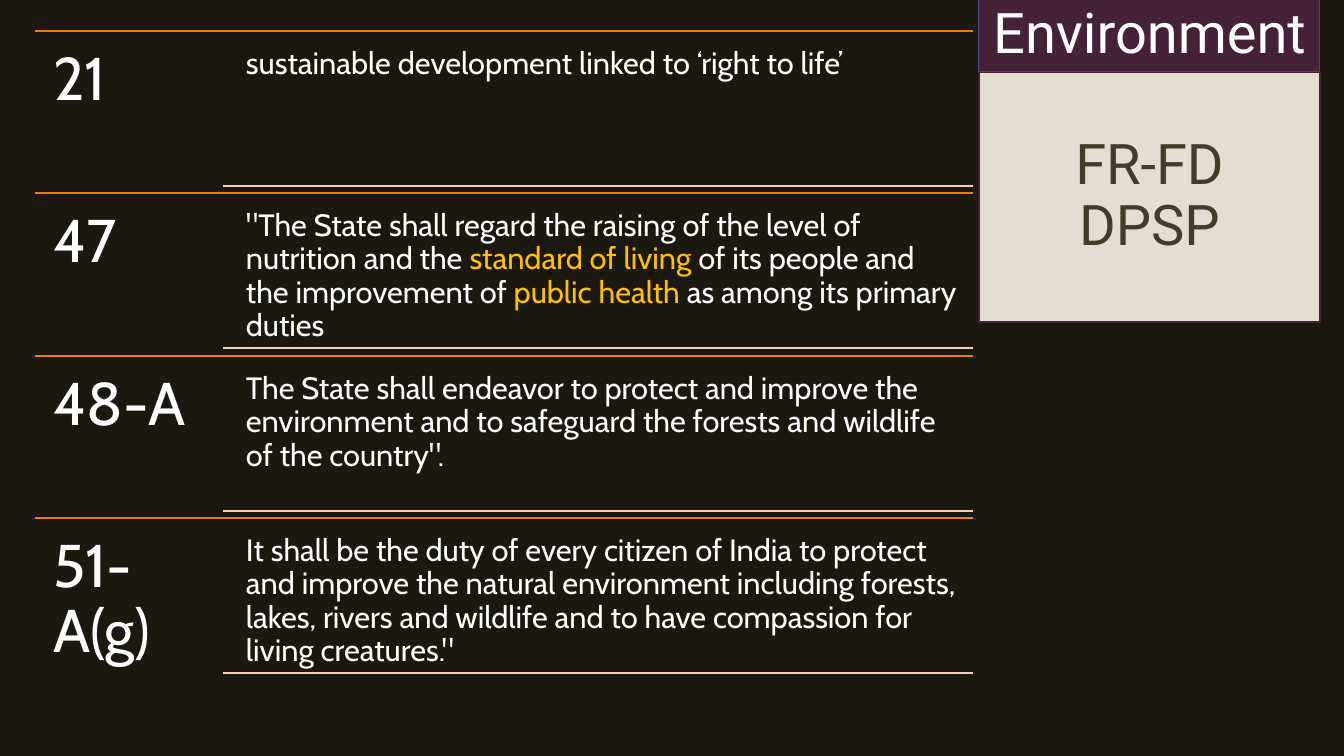
from pptx import Presentation
from pptx.dml.color import RGBColor
from pptx.enum.shapes import MSO_CONNECTOR, MSO_SHAPE
from pptx.enum.text import MSO_ANCHOR, PP_ALIGN
from pptx.oxml.ns import qn
from pptx.util import Emu, Pt
from lxml import etree

STRAIGHT = MSO_CONNECTOR.STRAIGHT
RECTANGLE = MSO_SHAPE.RECTANGLE
TOP, MIDDLE = MSO_ANCHOR.TOP, MSO_ANCHOR.MIDDLE
LEFT, CENTER = PP_ALIGN.LEFT, PP_ALIGN.CENTER

EMU_PER_PX = 914400 / 100.8
WHITE, GOLD, ORANGE, PINK = "FFFFFF", "FFC000", "F07F09", "F8CCBD"
PLUM, SAND, OLIVE, BLUE, DARK = "452238", "E3DED1", "443C29", "384A92", "1B1810"

ROWS_TOP, ROWS_BOTTOM = 31, 680
LIST_LEFT, LIST_RIGHT = 35, 973
CARD_LEFT, CARD_WIDTH = 979, 341

# Article number and its text as (words, colour) spans
ARTICLES = [
    ("21", [("sustainable development linked to ‘right to life’", WHITE)]),
    ("47", [
        ('"The State shall regard the raising of the level of nutrition and the ', WHITE),
        ("standard of living ", GOLD),
        ("of its people and the improvement of ", WHITE),
        ("public health ", GOLD),
        ("as among its primary duties", WHITE),
    ]),
    ("48-A", [(
        "The State shall endeavor to protect and improve the environment and to "
        'safeguard the forests and wildlife of the country".', WHITE)]),
    ("51-A(g)", [(
        "It shall be the duty of every citizen of India to protect and improve the "
        "natural environment including forests, lakes, rivers and wildlife and to "
        'have compassion for living creatures."', WHITE)]),
]


def px(length):
    return Emu(round(length * EMU_PER_PX))


def color(hex_code):
    return RGBColor.from_string(hex_code)


def write_text(shape, spans, size, font="Cabin", align=LEFT, anchor=TOP, inset=9):
    frame = shape.text_frame
    frame.word_wrap = True
    frame.vertical_anchor = anchor
    frame.margin_left = frame.margin_right = px(inset)
    frame.margin_top = frame.margin_bottom = px(inset)
    para = frame.paragraphs[0]
    para.alignment = align
    para.line_spacing = 0.9
    for words, hex_code in spans:
        for index, line in enumerate(words.split("\n")):
            if index:
                para.add_line_break()
            span = para.add_run()
            span.text = line
            span.font.name = font
            span.font.size = Pt(size)
            span.font.color.rgb = color(hex_code)


def add_text(page, left, top, width, height, spans, **text_format):
    box = page.shapes.add_textbox(px(left), px(top), px(width), px(height))
    write_text(box, spans, **text_format)


def add_rule(page, left, right, y, hex_code):
    rule = page.shapes.add_connector(STRAIGHT, px(left), px(y), px(right), px(y))
    rule.line.color.rgb = color(hex_code)
    rule.line.width = Pt(2)
    etree.SubElement(rule._element.spPr, qn("a:effectLst"))


def add_panel(page, top, height, fill, outline, weight, spans, **text_format):
    panel = page.shapes.add_shape(
        RECTANGLE, px(CARD_LEFT), px(top), px(CARD_WIDTH), px(height))
    panel.shadow.inherit = False
    panel.fill.solid()
    panel.fill.fore_color.rgb = color(fill)
    panel.line.color.rgb = color(outline)
    panel.line.width = Pt(weight)
    write_text(panel, spans, size=40, font="Roboto", align=CENTER, **text_format)


def add_article(page, top, number, spans):
    add_rule(page, LIST_LEFT, LIST_RIGHT, top, ORANGE)
    add_text(page, LIST_LEFT, top, 188, 162, [(number, WHITE)], size=43, inset=18)
    add_text(page, 237, top + 8, 736, 147, spans, size=22)
    add_rule(page, 223, LIST_RIGHT, top + 155, PINK)


def main():
    deck = Presentation()
    deck.slide_width, deck.slide_height = px(1344), px(756)
    page = deck.slides.add_slide(deck.slide_layouts[6])
    page.background.fill.solid()
    page.background.fill.fore_color.rgb = color(DARK)

    # Articles in equal rows
    pitch = (ROWS_BOTTOM - ROWS_TOP) / len(ARTICLES)
    for index, (number, spans) in enumerate(ARTICLES):
        add_article(page, round(ROWS_TOP + index * pitch), number, spans)

    # Title card with its heading band
    add_panel(page, 72, 250, SAND, PLUM, 1.5, [("FR-FD\nDPSP", OLIVE)], anchor=MIDDLE)
    add_panel(page, 0, 72, PLUM, BLUE, 0.75, [("Environment", WHITE)], inset=5)

    deck.save("out.pptx")


if __name__ == "__main__":
    main()
